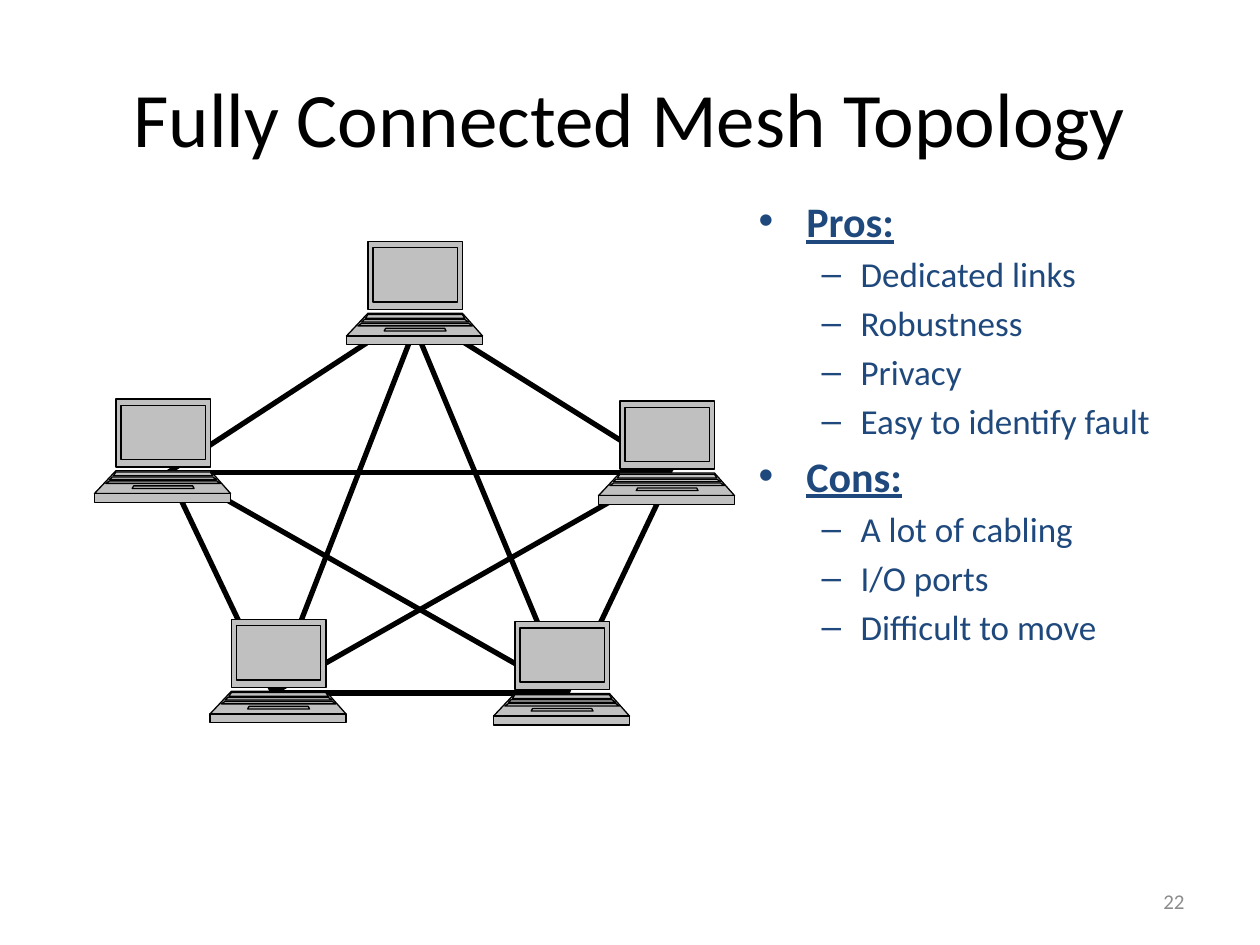
"""Builds the slide on the fully connected mesh topology."""
from lxml import etree
from pptx import Presentation, util as u
from pptx.dml.color import RGBColor
from pptx.enum import shapes, text
from pptx.oxml.ns import qn

COLOURS = {key: RGBColor.from_string(value) for key, value in {
    "black": "000000", "navy": "1F497D", "casing": "C0C0C0", "number": "8C8C8C"}.items()}
CELL = u.Inches(1) / 12
HUNDREDTH = u.Inches(0.01)


def style(paragraph, size, colour):
    paragraph.font.name = "Calibri"
    paragraph.font.size = u.Pt(size)
    paragraph.font.color.rgb = COLOURS[colour]


def place(item, left, top, width, height):
    item.left, item.top = u.Inches(left), u.Inches(top)
    item.width, item.height = u.Inches(width), u.Inches(height)


deck = Presentation()
deck.slide_width, deck.slide_height = u.Inches(10), u.Inches(7.5)
slide = deck.slides.add_slide(deck.slide_layouts[1])

heading = slide.shapes.title
place(heading, 0.5, 0.3, 9, 1.25)
heading.text_frame.text = "Fully Connected Mesh Topology"
style(heading.text_frame.paragraphs[0], 44, "black")

verdict = slide.placeholders[1]
place(verdict, 5.92, 1.5, 3.58, 4.08)
points = [
    (0, "Pros:"), (1, "Dedicated links"), (1, "Robustness"), (1, "Privacy"),
    (1, "Easy to identify fault"),
    (0, "Cons:"), (1, "A lot of cabling"), (1, "I/O ports"), (1, "Difficult to move"),
]
verdict.text_frame.text = "\n".join(words for level, words in points)
for (level, words), point in zip(points, verdict.text_frame.paragraphs):
    point.level = level
    margin, hanging = [(0.38, -0.38), (0.81, -0.31)][level]
    properties = point._p.get_or_add_pPr()
    properties.set("marL", str(u.Inches(margin)))
    properties.set("indent", str(u.Inches(hanging)))
    style(point, [24, 20][level], "navy")
    if level == 0:
        point.font.bold = point.font.underline = True
verdict.text_frame.paragraphs[0].space_before = u.Pt(0)

links = [
    (16, 45, 39, 30), (64, 45, 40, 30), (54, 66, 64, 45), (26, 66, 54, 66),
    (16, 45, 26, 66), (64, 45, 16, 45), (63, 45, 26, 66), (54, 66, 17, 45),
    (40, 30, 26, 66), (54, 66, 39, 30),
]
mesh = slide.shapes.add_group_shape()
for ends in links:
    link = mesh.shapes.add_connector(
        shapes.MSO_CONNECTOR.STRAIGHT, *[round(end * CELL) for end in ends])
    link.line.color.rgb = COLOURS["black"]
    link.line.width = u.Pt(3)
    etree.SubElement(link._element.spPr, qn("a:effectLst"))

laptop_parts = [
    (17, 92, 0, 17, 92, 54),
    (17, 92, 57, 0, 108, 75),
    (0, 108, 75, 0, 108, 82),
    (21, 88, 5, 21, 88, 48),
    (17, 92, 58, 15, 94, 61),
    (31, 78, 69, 30, 79, 71),
    (14, 94, 62, 12, 97, 64),
    (12, 97, 65, 9, 100, 67),
]
for left, top in [(9, 38), (20, 59), (33, 23), (47, 59.2), (57, 38.2)]:
    builder = slide.shapes.build_freeform(17, 0, scale=HUNDREDTH)
    for upper_left, upper_right, upper, lower_left, lower_right, lower in laptop_parts:
        builder.move_to(upper_left, upper)
        builder.add_line_segments(
            [(upper_right, upper), (lower_right, lower), (lower_left, lower)], close=True)
    laptop = builder.convert_to_shape(round(left * CELL), round(top * CELL))
    laptop.shadow.inherit = False
    laptop.fill.solid()
    laptop.fill.fore_color.rgb = COLOURS["casing"]
    laptop.line.color.rgb = COLOURS["black"]
    laptop.line.width = u.Pt(0.75)
    merged = next(laptop._element.iter(qn("a:path")))
    outlines = merged.getparent()
    for step in list(merged):
        if step.tag == qn("a:moveTo"):
            outline = etree.SubElement(outlines, merged.tag, dict(merged.attrib))
        outline.append(step)
    outlines.remove(merged)
    outlines.remove(outlines[0])

number = slide.shapes.add_textbox(
    u.Inches(7.17), u.Inches(6.95), u.Inches(2.33), u.Inches(0.4)).text_frame
number.word_wrap = True
number.vertical_anchor = text.MSO_ANCHOR.MIDDLE
number.text = "22"
number.paragraphs[0].alignment = text.PP_ALIGN.RIGHT
style(number.paragraphs[0], 12, "number")

deck.save("out.pptx")
